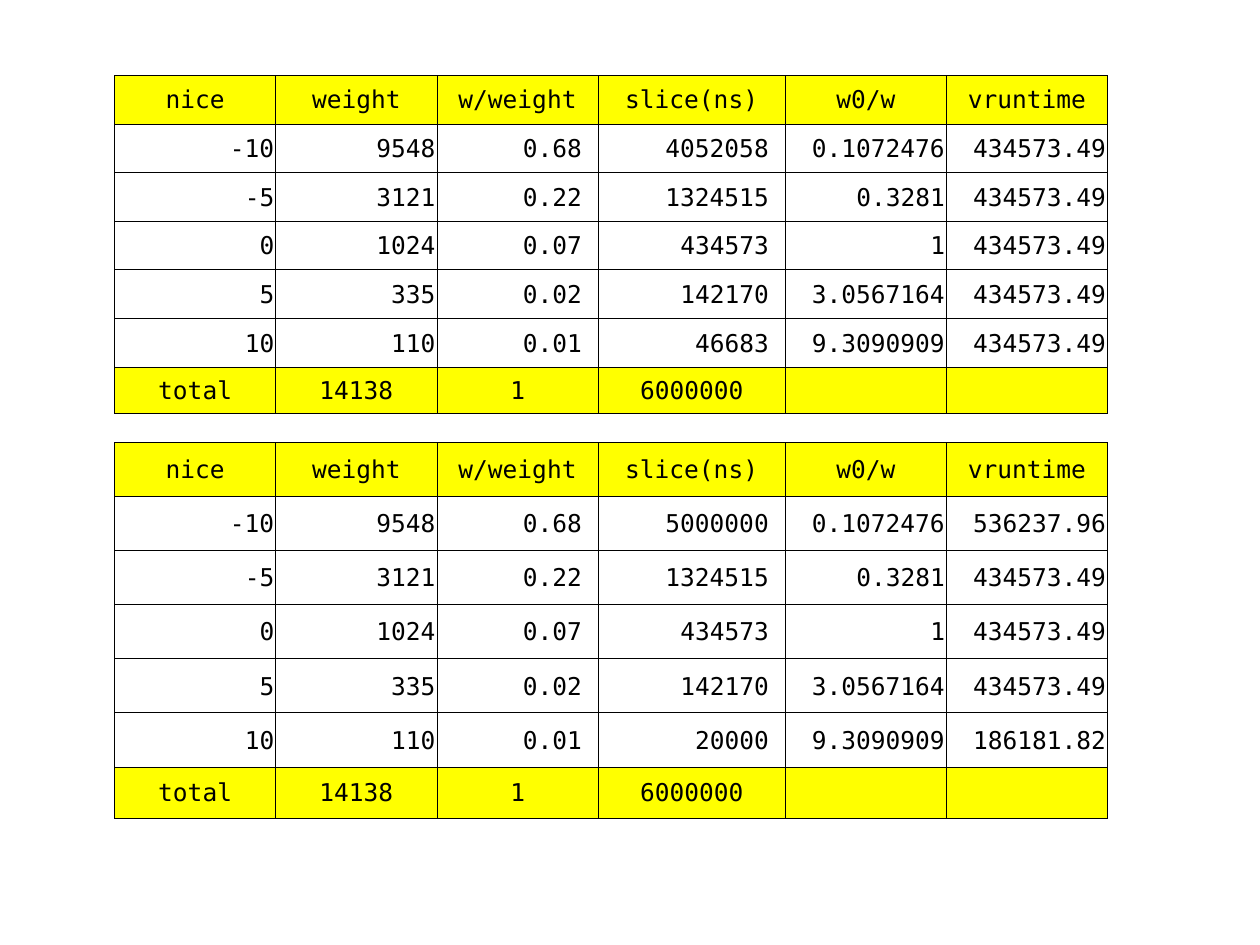
"""Build a slide with two scheduler tables of weights, slices and runtimes."""
from lxml import etree
from pptx import Presentation
from pptx import util as u
from pptx.dml.color import RGBColor
from pptx.enum import text
from pptx.oxml.ns import qn

BLACK = RGBColor(0, 0, 0)
YELLOW = RGBColor(255, 255, 0)

HEAD = ["nice", "weight", "w/weight", "slice(ns)", "w0/w", "vruntime"]
TOTAL = ["total", "14138", "1", "6000000", "", ""]
NICE = ["-10", "-5", "0", "5", "10"]
WEIGHT = ["9548", "3121", "1024", "335", "110"]
SHARE = ["0.68 ", "0.22 ", "0.07 ", "0.02 ", "0.01 "]
RATIO = ["0.1072476", "0.3281", "1", "3.0567164", "9.3090909"]
WIDTHS = [3.25, 3.25, 3.25, 3.77, 3.25, 3.25]
LEFT = 2.31


class Deck:
    font = "DejaVu Sans Mono"
    size = u.Pt(14)
    line = u.Pt(0.5)
    inset = u.Cm(0.03)

    def __init__(self):
        self.prs = Presentation()
        self.prs.slide_width = u.Cm(25.4)
        self.prs.slide_height = u.Cm(19.05)
        self.slide = self.prs.slides.add_slide(self.prs.slide_layouts[6])

    def border(self, cell):
        props = cell._tc.get_or_add_tcPr()
        for side in ("a:lnL", "a:lnR", "a:lnT", "a:lnB"):
            edge = etree.SubElement(props, qn(side), w=str(int(self.line)))
            fill = etree.SubElement(edge, qn("a:solidFill"))
            etree.SubElement(fill, qn("a:srgbClr"), val=str(BLACK))

    def cell(self, cell, words, strong):
        self.border(cell)
        cell.margin_left = cell.margin_right = cell.margin_top = self.inset
        cell.margin_bottom = 0
        cell.vertical_anchor = text.MSO_ANCHOR.MIDDLE
        if strong:
            cell.fill.solid()
            cell.fill.fore_color.rgb = YELLOW
        else:
            cell.fill.background()
        if words:
            para = cell.text_frame.paragraphs[0]
            para.alignment = text.PP_ALIGN.CENTER if strong else text.PP_ALIGN.RIGHT
            run = para.add_run()
            run.text = words
            run.font.name = self.font
            run.font.size = self.size
            run.font.color.rgb = BLACK

    def table(self, top, heights, rows):
        frame = self.slide.shapes.add_table(
            len(rows), len(WIDTHS), u.Cm(LEFT), u.Cm(top),
            u.Cm(sum(WIDTHS)), u.Cm(sum(heights)))
        grid = frame.table
        grid.first_row = grid.horz_banding = False
        for col, width in zip(grid.columns, WIDTHS):
            col.width = u.Cm(width)
        for r, (row, height) in enumerate(zip(rows, heights)):
            grid.rows[r].height = u.Cm(height)
            for c, words in enumerate(row):
                self.cell(grid.cell(r, c), words, r in (0, len(rows) - 1))


def fill_rows(slices, times):
    return [HEAD, *zip(NICE, WEIGHT, SHARE, slices, RATIO, times), TOTAL]


deck = Deck()
even = "434573.49"
mid = ["1324515 ", "434573 ", "142170 "]
deck.table(1.52, [0.98] * 6 + [0.93],
           fill_rows(["4052058 ", *mid, "46683 "], [even] * 5))
deck.table(8.92, [1.09] * 6 + [1.04],
           fill_rows(["5000000 ", *mid, "20000 "],
                     ["536237.96", *[even] * 3, "186181.82"]))
deck.prs.save("out.pptx")
